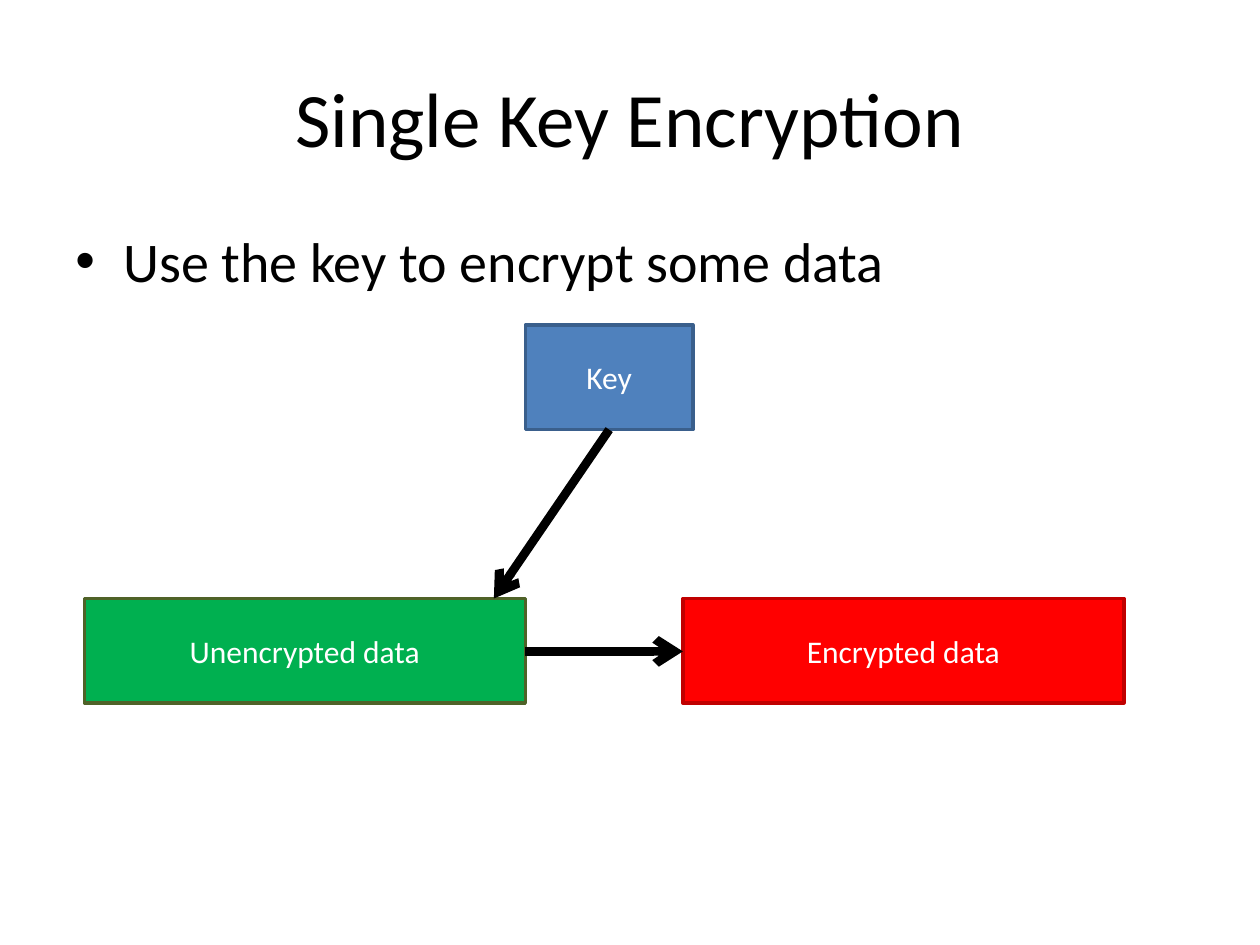
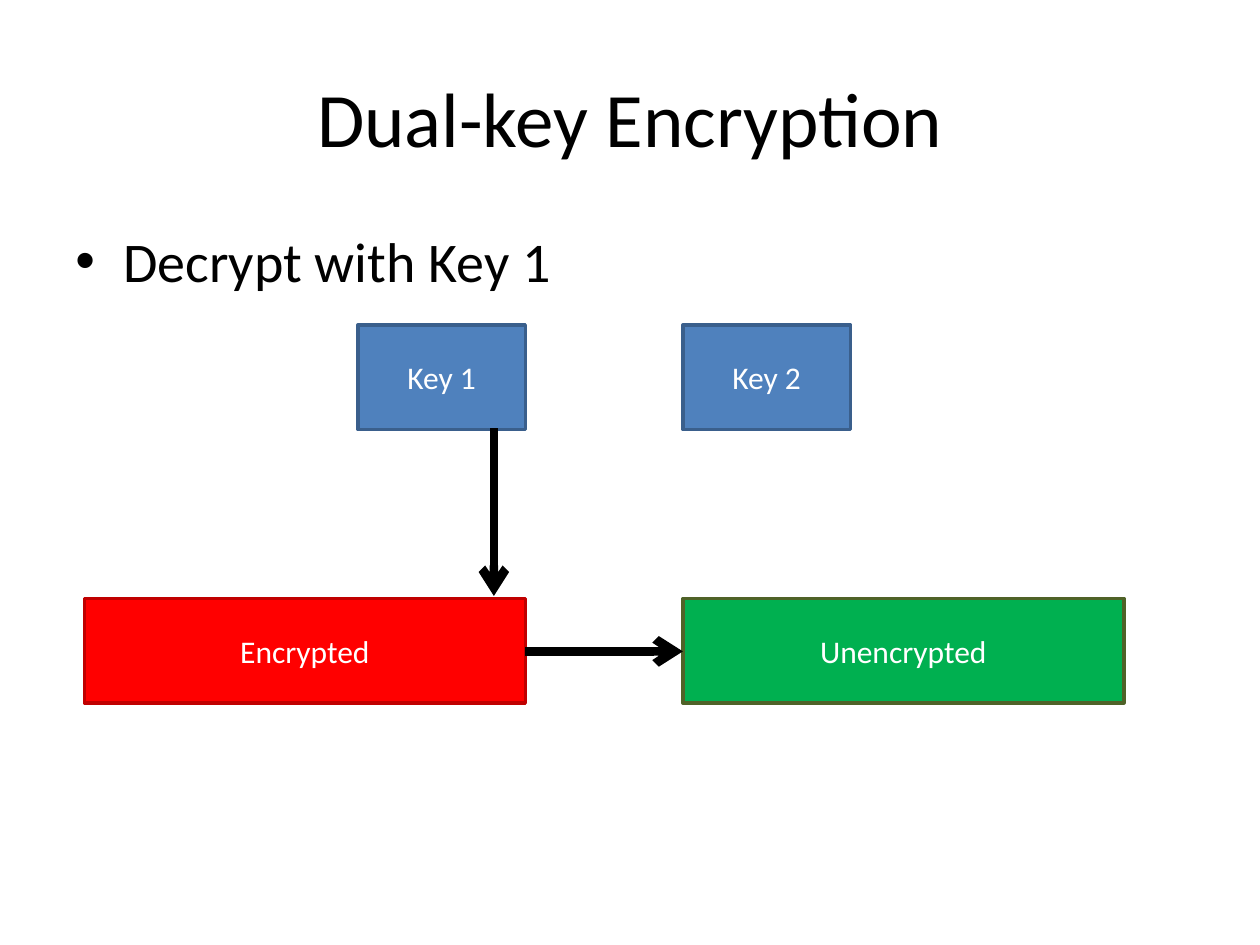
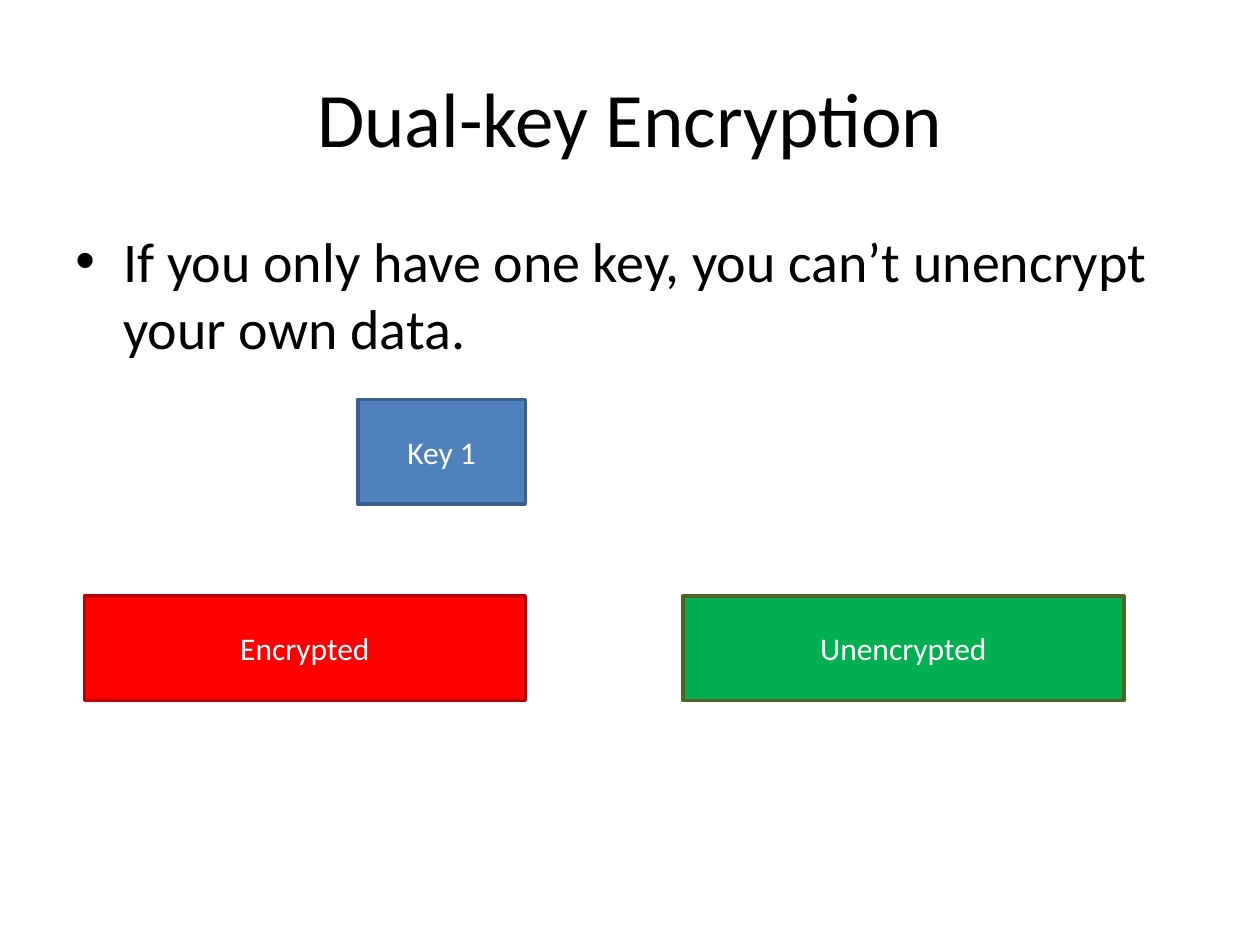
from dataclasses import dataclass

from lxml import etree
from pptx import Presentation
from pptx.dml.color import RGBColor
from pptx.enum.shapes import MSO_CONNECTOR, MSO_SHAPE
from pptx.enum.text import MSO_ANCHOR, PP_ALIGN
from pptx.oxml.ns import qn
from pptx.slide import Slide
from pptx.text.text import TextFrame
from pptx.util import Inches, Pt

RECTANGLE = MSO_SHAPE.RECTANGLE
STRAIGHT = MSO_CONNECTOR.STRAIGHT
TOP, MIDDLE = MSO_ANCHOR.TOP, MSO_ANCHOR.MIDDLE
LEFT, CENTER = PP_ALIGN.LEFT, PP_ALIGN.CENTER


@dataclass(frozen=True)
class Paint:
    fill: str
    line: str


@dataclass(frozen=True)
class Theme:
    font: str = "Calibri"
    bullet_font: str = "Arial"
    ink: str = "000000"
    light: str = "FFFFFF"
    key: Paint = Paint("4F81BD", "3A5F8C")
    plain: Paint = Paint("00B050", "4F6228")
    secret: Paint = Paint("FF0000", "C00000")
    title_size: int = 44
    body_size: int = 32
    label_size: int = 18
    outline: int = 2
    arrow: int = 5


@dataclass(frozen=True)
class Box:
    text: str
    left: float
    top: float
    width: float
    paint: Paint


@dataclass(frozen=True)
class Arrow:
    start: tuple[float, float]
    end: tuple[float, float]


@dataclass(frozen=True)
class Page:
    title: str
    bullet: str
    boxes: tuple[Box, ...]
    arrows: tuple[Arrow, ...] = ()


THEME = Theme()
BOX_HEIGHT = 0.83
KEY_WIDTH, DATA_WIDTH = 1.33, 3.5
DATA_LEFT, RESULT_LEFT = 0.67, 5.42
DATA_RIGHT = DATA_LEFT + DATA_WIDTH
KEY_LEFT = DATA_RIGHT - KEY_WIDTH
KEY_TOP, DATA_TOP = 2.58, 4.75
KEY_BOTTOM = KEY_TOP + BOX_HEIGHT
DATA_MIDDLE = 5.17
ARROW_X = 3.92


def key_box(text: str, left: float, top: float = KEY_TOP) -> Box:
    return Box(text, left, top, KEY_WIDTH, THEME.key)


def data_pair(source: str, result: str, paints: tuple[Paint, Paint],
              top: float = DATA_TOP) -> tuple[Box, Box]:
    return (Box(source, DATA_LEFT, top, DATA_WIDTH, paints[0]),
            Box(result, RESULT_LEFT, top, DATA_WIDTH, paints[1]))


ENCRYPT = (THEME.plain, THEME.secret)
DECRYPT = (THEME.secret, THEME.plain)
RESULT_ARROW = Arrow((DATA_RIGHT, DATA_MIDDLE), (RESULT_LEFT, DATA_MIDDLE))

PAGES = (
    Page("Single Key Encryption", "Use the key to encrypt some data",
         (key_box("Key", DATA_RIGHT),
          *data_pair("Unencrypted data", "Encrypted data", ENCRYPT)),
         (Arrow((DATA_RIGHT + KEY_WIDTH / 2, KEY_BOTTOM), (ARROW_X, DATA_TOP)),
          RESULT_ARROW)),
    Page("Dual-key Encryption", "Decrypt with Key 1",
         (key_box("Key 1", KEY_LEFT), key_box("Key 2", RESULT_LEFT),
          *data_pair("Encrypted", "Unencrypted", DECRYPT)),
         (RESULT_ARROW, Arrow((ARROW_X, 3.4), (ARROW_X, 4.73)))),
    Page("Dual-key Encryption",
         "If you only have one key, you can’t unencrypt your own data.",
         (key_box("Key 1", KEY_LEFT, 3.17),
          *data_pair("Encrypted", "Unencrypted", DECRYPT, 4.73))),
)


def write_text(frame: TextFrame, text: str, size: int, color: str,
               align: PP_ALIGN = CENTER, anchor: MSO_ANCHOR = MIDDLE) -> None:
    frame.word_wrap = True
    frame.vertical_anchor = anchor
    para = frame.paragraphs[0]
    para.alignment = align
    span = para.add_run()
    span.text = text
    for name, value in {"name": THEME.font, "size": Pt(size)}.items():
        setattr(span.font, name, value)
    span.font.color.rgb = RGBColor.from_string(color)


def add_text(slide: Slide, top: float, height: float) -> TextFrame:
    return slide.shapes.add_textbox(
        Inches(0.5), Inches(top), Inches(9), Inches(height)).text_frame


def add_bullet(frame: TextFrame) -> None:
    properties = frame.paragraphs[0]._p.get_or_add_pPr()
    indent = Inches(0.38)
    properties.set("marL", str(indent))
    properties.set("indent", str(-indent))
    spacing = etree.SubElement(properties, qn("a:spcBef"))
    etree.SubElement(spacing, qn("a:spcPct"), val="20000")
    etree.SubElement(properties, qn("a:buFont"), typeface=THEME.bullet_font)
    etree.SubElement(properties, qn("a:buChar"), char="•")


def draw_box(slide: Slide, box: Box) -> None:
    shape = slide.shapes.add_shape(
        RECTANGLE, Inches(box.left), Inches(box.top),
        Inches(box.width), Inches(BOX_HEIGHT))
    shape.shadow.inherit = False
    shape.fill.solid()
    shape.fill.fore_color.rgb = RGBColor.from_string(box.paint.fill)
    shape.line.color.rgb = RGBColor.from_string(box.paint.line)
    shape.line.width = Pt(THEME.outline)
    write_text(shape.text_frame, box.text, THEME.label_size, THEME.light)


def draw_arrow(slide: Slide, arrow: Arrow) -> None:
    points = [Inches(value) for value in (*arrow.start, *arrow.end)]
    connector = slide.shapes.add_connector(STRAIGHT, *points)
    connector.line.color.rgb = RGBColor.from_string(THEME.ink)
    connector.line.width = Pt(THEME.arrow)
    etree.SubElement(connector.line._get_or_add_ln(), qn("a:tailEnd"), type="arrow")
    etree.SubElement(connector._element.spPr, qn("a:effectLst"))


def draw_page(deck: Presentation, page: Page) -> None:
    slide = deck.slides.add_slide(deck.slide_layouts[6])
    write_text(add_text(slide, 0.3, 1.25), page.title, THEME.title_size, THEME.ink)
    body = add_text(slide, 1.75, 4.95)
    write_text(body, page.bullet, THEME.body_size, THEME.ink, LEFT, TOP)
    add_bullet(body)
    for box in page.boxes:
        draw_box(slide, box)
    for arrow in page.arrows:
        draw_arrow(slide, arrow)


def main() -> None:
    deck = Presentation()
    deck.slide_width, deck.slide_height = Inches(10), Inches(7.5)
    for page in PAGES:
        draw_page(deck, page)
    deck.save("out.pptx")


main()
